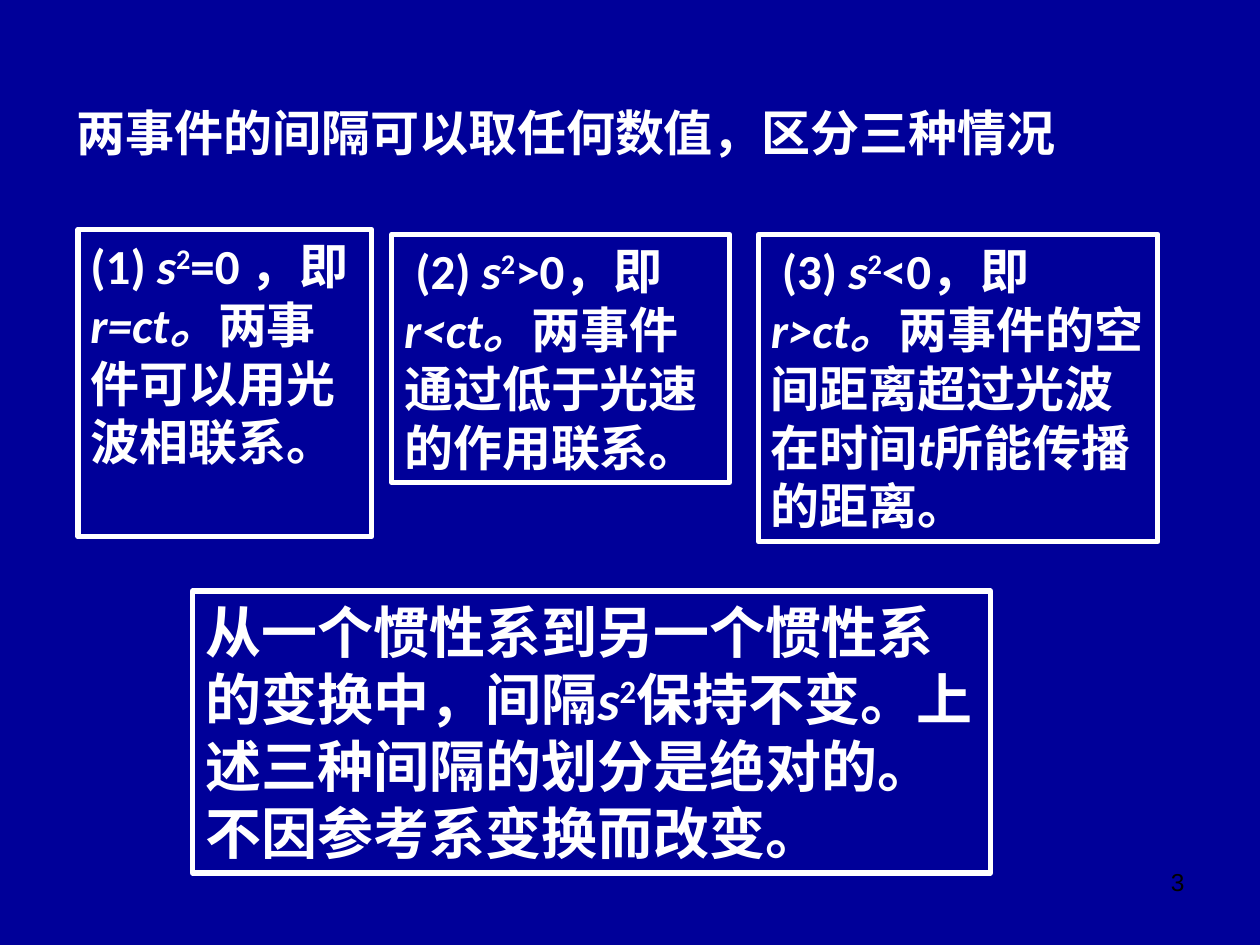
import pptx
import pptx.util
import pptx.dml.color
import pptx.enum.shapes
import pptx.enum.text

Inches = pptx.util.Inches
Pt = pptx.util.Pt
WHITE = "FFFFFF"


def rgb(value):
    return pptx.dml.color.RGBColor.from_string(value)


def add_runs(p, runs, size):
    """Add bold white runs; style "i" is italic, "sup" is superscript."""
    for text, style in runs:
        r = p.add_run()
        r.text = text
        r.font.name = "Calibri"
        r.font.size = Pt(size)
        r.font.bold = True
        r.font.italic = style == "i"
        r.font.color.rgb = rgb(WHITE)
        if style == "sup":
            r._r.get_or_add_rPr().set("baseline", "30000")


prs = pptx.Presentation()
prs.slide_width = Inches(10)
prs.slide_height = Inches(7.5)
s = prs.slides.add_slide(prs.slide_layouts[5])
s.background.fill.solid()
s.background.fill.fore_color.rgb = rgb("000099")

# Title
title = s.shapes.title
title.left, title.top = Inches(0.51), Inches(0.76)
title.width, title.height = Inches(8.42), Inches(0.57)
tf = title.text_frame
tf.auto_size = pptx.enum.text.MSO_AUTO_SIZE.NONE
tf.vertical_anchor = pptx.enum.text.MSO_ANCHOR.TOP
tf.paragraphs[0].alignment = pptx.enum.text.PP_ALIGN.LEFT
add_runs(tf.paragraphs[0], [("两事件的间隔可以取任何数值，区分三种情况", "")], 28)

# Three cases and the conclusion: left, top, width, height, size, runs
S2 = [("s", "i"), ("2", "sup")]
boxes = [
    (0.62, 1.82, 2.33, 2.44, 28,
     [("(1) ", ""), *S2, ("=0 ，即", ""), ("r=ct。", "i"),
      ("两事件可以用光波相联系。", "")]),
    (3.11, 1.86, 2.68, 1.97, 28,
     [(" (2) ", ""), *S2, (">0，即 ", ""), ("r<ct。", "i"),
      ("两事件通过低于光速的作用联系。", "")]),
    (6.02, 1.86, 3.17, 2.44, 28,
     [(" (3) ", ""), *S2, ("<0，即", ""), ("r>ct。", "i"),
      ("两事件的空间距离超过光波在时间", ""), ("t", "i"),
      ("所能传播的距离。", "")]),
    (1.53, 4.69, 6.33, 2.24, 32,
     [("从一个惯性系到另一个惯性系的变换中，间隔", ""), *S2,
      ("保持不变。上述三种间隔的划分是绝对的。不因参考系变换而改变。", "")]),
]
for left, top, width, height, size, runs in boxes:
    sp = s.shapes.add_shape(pptx.enum.shapes.MSO_SHAPE.RECTANGLE, Inches(left),
                            Inches(top), Inches(width), Inches(height))
    sp.shadow.inherit = False
    sp.fill.background()
    sp.line.color.rgb = rgb(WHITE)
    sp.line.width = Pt(3)
    tf = sp.text_frame
    tf.word_wrap = True
    tf.auto_size = pptx.enum.text.MSO_AUTO_SIZE.SHAPE_TO_FIT_TEXT
    tf.vertical_anchor = pptx.enum.text.MSO_ANCHOR.TOP
    tf.paragraphs[0].alignment = pptx.enum.text.PP_ALIGN.LEFT
    add_runs(tf.paragraphs[0], runs, size)

# Slide number
sp = s.shapes.add_textbox(Inches(7.17), Inches(6.83), Inches(2.33), Inches(0.52))
tf = sp.text_frame
tf.word_wrap = True
tf.text = "3"
p = tf.paragraphs[0]
p.alignment = pptx.enum.text.PP_ALIGN.RIGHT
r = p.runs[0]
r.font.name = "Arial"
r.font.size = Pt(14)
r.font.color.rgb = rgb("000000")

prs.save("out.pptx")
